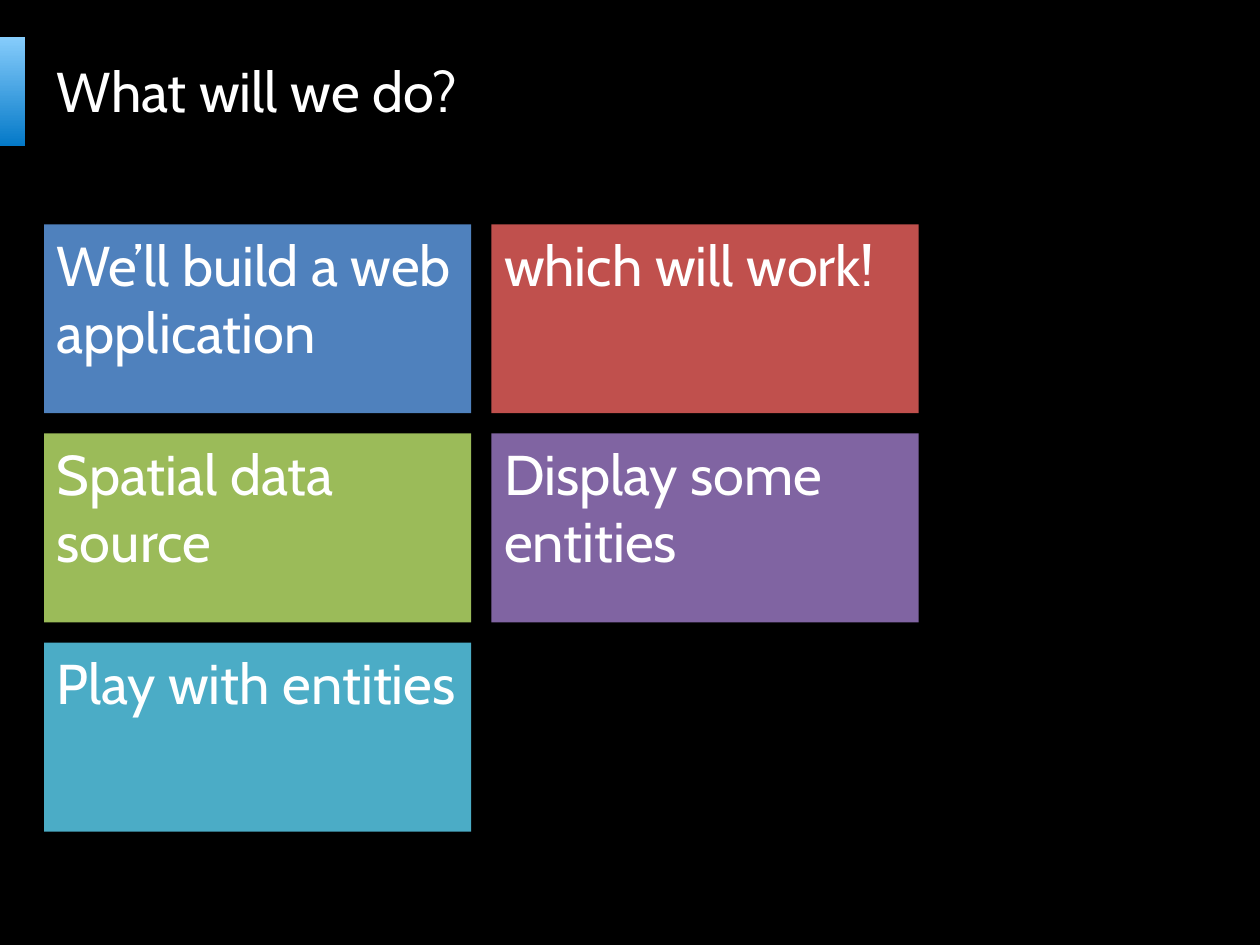
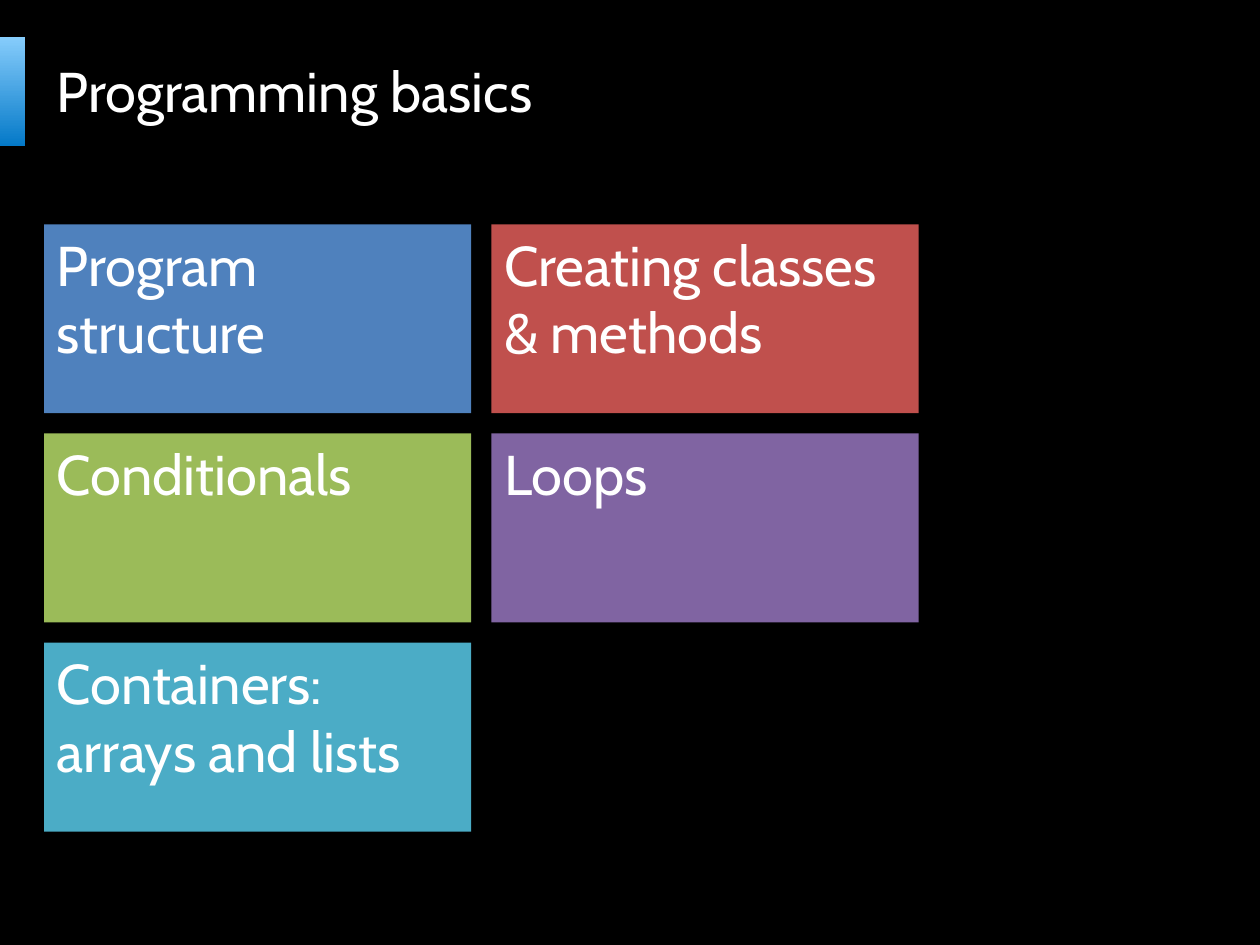
from copy import deepcopy
from dataclasses import dataclass

from pptx import Presentation
from pptx.dml.color import RGBColor
from pptx.enum.shapes import MSO_SHAPE as Preset
from pptx.enum.text import MSO_ANCHOR as Anchor, MSO_AUTO_SIZE as AutoSize, PP_ALIGN as Align
from pptx.oxml.ns import qn
from pptx.oxml.xmlchemy import OxmlElement
from pptx.util import Inches, Pt

FONT = "Cabin"
FONT_SIZE = 32
WHITE, BLACK = "FFFFFF", "000000"
BAND_TOP_COLOR, BAND_BOTTOM_COLOR = "87CDFC", "0479C8"
TILE_COLORS = ["4F81BD", "C0504D", "9BBB59", "8064A2", "4BACC6"]


@dataclass(frozen=True)
class Box:
    left: float
    top: float
    width: float
    height: float


@dataclass(frozen=True)
class TileGrid:
    left: float
    top: float
    width: float
    height: float
    gap: float
    columns: int

    def cell(self, index: int) -> Box:
        row, column = divmod(index, self.columns)
        return Box(self.left + column * (self.width + self.gap),
                   self.top + row * (self.height + self.gap),
                   self.width, self.height)


@dataclass(frozen=True)
class Topic:
    title: str
    tiles: list[str]


BAND = Box(0, 0.29, 0.2, 0.87)
TITLE = Box(0.35, 0.29, 7.09, 0.85)
GRID = TileGrid(left=0.35, top=1.78, width=3.39, height=1.5, gap=0.16, columns=2)

TOPICS = [
    Topic("What will we do?", [
        "We’ll build a web application", "which will work!",
        "Spatial data source", "Display some entities", "Play with entities"]),
    Topic("Programming basics", [
        "Program structure", "Creating classes & methods",
        "Conditionals", "Loops", "Containers: arrays and lists"]),
]


def color(value: str) -> RGBColor:
    return RGBColor.from_string(value)


def place(shape, box: Box) -> None:
    shape.left, shape.top = Inches(box.left), Inches(box.top)
    shape.width, shape.height = Inches(box.width), Inches(box.height)


def write(shape, text: str, anchor: Anchor):
    """Fill a placeholder with one left-aligned run in the deck's font."""
    frame = shape.text_frame
    frame.word_wrap = True
    frame.auto_size = AutoSize.NONE
    frame.vertical_anchor = anchor
    paragraph = frame.paragraphs[0]
    paragraph.alignment = Align.LEFT
    run = paragraph.add_run()
    run.text = text
    run.font.name = FONT
    run.font.size = Pt(FONT_SIZE)
    run.font.color.rgb = color(WHITE)
    return paragraph


def remove_bullet(paragraph) -> None:
    properties = paragraph._p.get_or_add_pPr()
    properties.set("marL", "0")
    properties.set("indent", "0")
    properties.append(OxmlElement("a:buNone"))


def add_tile_placeholders(layout, count: int) -> None:
    """Give the layout one body placeholder per tile."""
    first = layout.placeholders.get(idx=1).element
    next(first.iter(qn("p:ph"))).set("type", "body")
    for number in range(count - 1, 0, -1):
        tile = deepcopy(first)
        next(tile.iter(qn("p:cNvPr"))).set("id", str(20 + number))
        next(tile.iter(qn("p:ph"))).set("idx", str(20 + number))
        first.addnext(tile)


def move_band_to_layout(slide, layout) -> None:
    """Draw the gradient band and hand it to the layout, behind everything."""
    band = slide.shapes.add_shape(Preset.RECTANGLE, 0, 0, 0, 0)
    place(band, BAND)
    band.shadow.inherit = False
    band.line.fill.background()
    band.fill.gradient()
    band.fill.gradient_angle = 270
    stops = band.fill.gradient_stops
    for stop, position, value in zip(stops, (0, 1), (BAND_TOP_COLOR, BAND_BOTTOM_COLOR)):
        stop.position = position
        stop.color.rgb = color(value)
    layout.shapes.element.insert(2, band.element)


def add_topic_slide(presentation, layout, topic: Topic):
    slide = presentation.slides.add_slide(layout)
    title, *tiles = slide.placeholders
    place(title, TITLE)
    write(title, topic.title, Anchor.MIDDLE)
    for index, (tile, text, fill) in enumerate(zip(tiles, topic.tiles, TILE_COLORS)):
        place(tile, GRID.cell(index))
        tile.fill.solid()
        tile.fill.fore_color.rgb = color(fill)
        remove_bullet(write(tile, text, Anchor.TOP))
    return slide


presentation = Presentation()
presentation.slide_width, presentation.slide_height = Inches(10), Inches(7.5)

# Shared look: black background, tile placeholders
background = presentation.slide_master.background.fill
background.solid()
background.fore_color.rgb = color(BLACK)
layout = presentation.slide_layouts.get_by_name("Title and Content")
add_tile_placeholders(layout, len(TILE_COLORS))

# Slides, with the band shared through the layout
slides = [add_topic_slide(presentation, layout, topic) for topic in TOPICS]
move_band_to_layout(slides[0], layout)

presentation.save("out.pptx")
